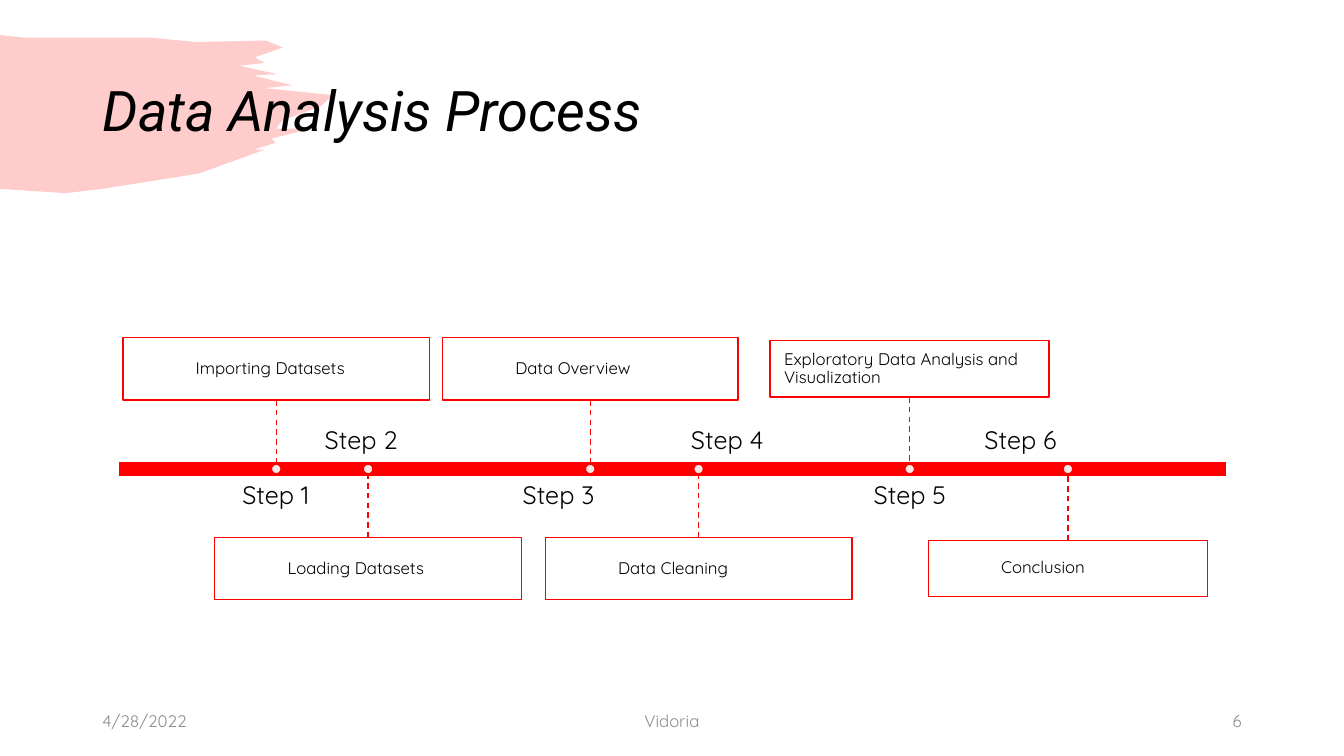
from lxml import etree
from pptx import Presentation
from pptx.dml.color import RGBColor
from pptx.enum.dml import MSO_LINE
from pptx.enum.shapes import MSO_CONNECTOR, MSO_SHAPE
from pptx.enum.text import MSO_ANCHOR, PP_ALIGN
from pptx.oxml.ns import qn
from pptx.util import Pt

RECTANGLE, OVAL = MSO_SHAPE.RECTANGLE, MSO_SHAPE.OVAL
STRAIGHT, DASH = MSO_CONNECTOR.STRAIGHT, MSO_LINE.DASH
TOP, MIDDLE, BOTTOM = MSO_ANCHOR.TOP, MSO_ANCHOR.MIDDLE, MSO_ANCHOR.BOTTOM
LEFT, CENTER, RIGHT = PP_ALIGN.LEFT, PP_ALIGN.CENTER, PP_ALIGN.RIGHT
RED, WHITE, BLACK, GRAY = "FF0000", "FFFFFF", "000000", "8C8C8C"


def paint(fill, color, opacity=100):
    fill.solid()
    fill.fore_color.rgb = RGBColor.from_string(color)
    if opacity < 100:
        tint = fill._xPr.find(qn("a:solidFill"))[0]
        etree.SubElement(tint, qn("a:alpha"), val=str(opacity * 1000))


def write(shape, text, size, color=BLACK, align=LEFT, anchor=MIDDLE,
          insets=(7.2, 3.6, 7.2, 3.6), spacing=0.9, font="Quicksand", italic=False):
    frame = shape.text_frame
    frame.word_wrap = True
    frame.vertical_anchor = anchor
    frame.margin_left, frame.margin_top, frame.margin_right, frame.margin_bottom = map(Pt, insets)
    para = frame.paragraphs[0]
    para.alignment = align
    para.line_spacing = spacing
    span = para.add_run()
    span.text = text
    span.font.name = font
    span.font.size = Pt(size)
    span.font.italic = italic
    paint(span.font.fill, color)


deck = Presentation()
deck.slide_width, deck.slide_height = Pt(960), Pt(540)
page = deck.slides.add_slide(deck.slide_layouts[5])
shapes = page.shapes

title = shapes.title
title.left, title.top, title.width, title.height = Pt(66), Pt(28.8), Pt(828), Pt(104.4)
write(title, "Data Analysis Process", 40, font="Roboto", italic=True)

brush_outline = [
    (18, 27), (108, 27), (140, 30), (190, 29), (202, 34), (182, 41), (189, 45), (171, 47),
    (198, 53), (181, 54), (209, 61), (189, 63), (238, 68), (229, 76), (202, 86), (197, 92),
    (222, 92), (194, 99), (197, 102), (181, 107), (189, 107), (142, 124), (73, 135),
    (47, 138), (0, 135),
]
builder = shapes.build_freeform(Pt(0), Pt(25))
builder.add_line_segments([(Pt(x), Pt(y)) for x, y in brush_outline])
brush = builder.convert_to_shape()
brush.shadow.inherit = False
brush.line.fill.background()
paint(brush.fill, RED, 20)
title._element.addprevious(brush._element)

bar = shapes.add_shape(RECTANGLE, Pt(84.2), Pt(329.8), Pt(792), Pt(10.8))
bar.shadow.inherit = False
paint(bar.fill, RED)
paint(bar.line.fill, WHITE)
bar.line.width = Pt(1)

axis = 335
dot_size = 7
steps = [
    ("Importing Datasets", 87.8, 219, 44.6, 42, 197),
    ("Loading Datasets", 153.4, 219, 44.6, 42, 258),
    ("Data Overview", 316.1, 211, 44.6, 42, 399),
    ("Data Cleaning", 389.5, 219, 44.6, 42, 519.5),
    ("Exploratory Data Analysis and Visualization", 550.1, 199.4, 40.3, 0, 650),
    ("Conclusion", 663.1, 199.4, 40.3, 42, 729),
]
for number, (text, left, width, height, indent, label_center) in enumerate(steps, 1):
    above = number % 2 == 1
    middle = 263.5 if above else 406.1
    top = middle - height / 2
    center = left + width / 2

    box = shapes.add_shape(RECTANGLE, Pt(left), Pt(top), Pt(width), Pt(height))
    box.shadow.inherit = False
    paint(box.fill, WHITE, 90)
    write(box, text, 12, insets=(10 + indent, 2, 10, 2))

    stem = shapes.add_connector(STRAIGHT, Pt(center), Pt(top), Pt(center), Pt(axis))
    stem.begin_connect(box, 2 if above else 0)
    stem.line.dash_style = DASH
    etree.SubElement(stem._element.spPr, qn("a:effectLst"))

    dot = shapes.add_shape(OVAL, Pt(center - dot_size / 2), Pt(axis - dot_size / 2),
                           Pt(dot_size), Pt(dot_size))
    dot.shadow.inherit = False
    paint(dot.fill, WHITE, 90)

    for outlined in (box, stem, dot):
        paint(outlined.line.fill, RED)
        outlined.line.width = Pt(1)

    label_top = 344.9 if above else 294.5
    label = shapes.add_textbox(Pt(label_center - 90), Pt(label_top), Pt(180), Pt(30.2))
    write(label, f"Step {number}", 18, align=CENTER, anchor=TOP if above else BOTTOM,
          insets=(0, 0, 0, 0))

footers = [("4/28/2022", 66, 216, LEFT), ("Vidoria", 318, 324, CENTER), ("6", 678, 216, RIGHT)]
for text, left, width, align in footers:
    footer = shapes.add_textbox(Pt(left), Pt(500.4), Pt(width), Pt(28.8))
    write(footer, text, 12, GRAY, align, spacing=1.0)

deck.save("out.pptx")
